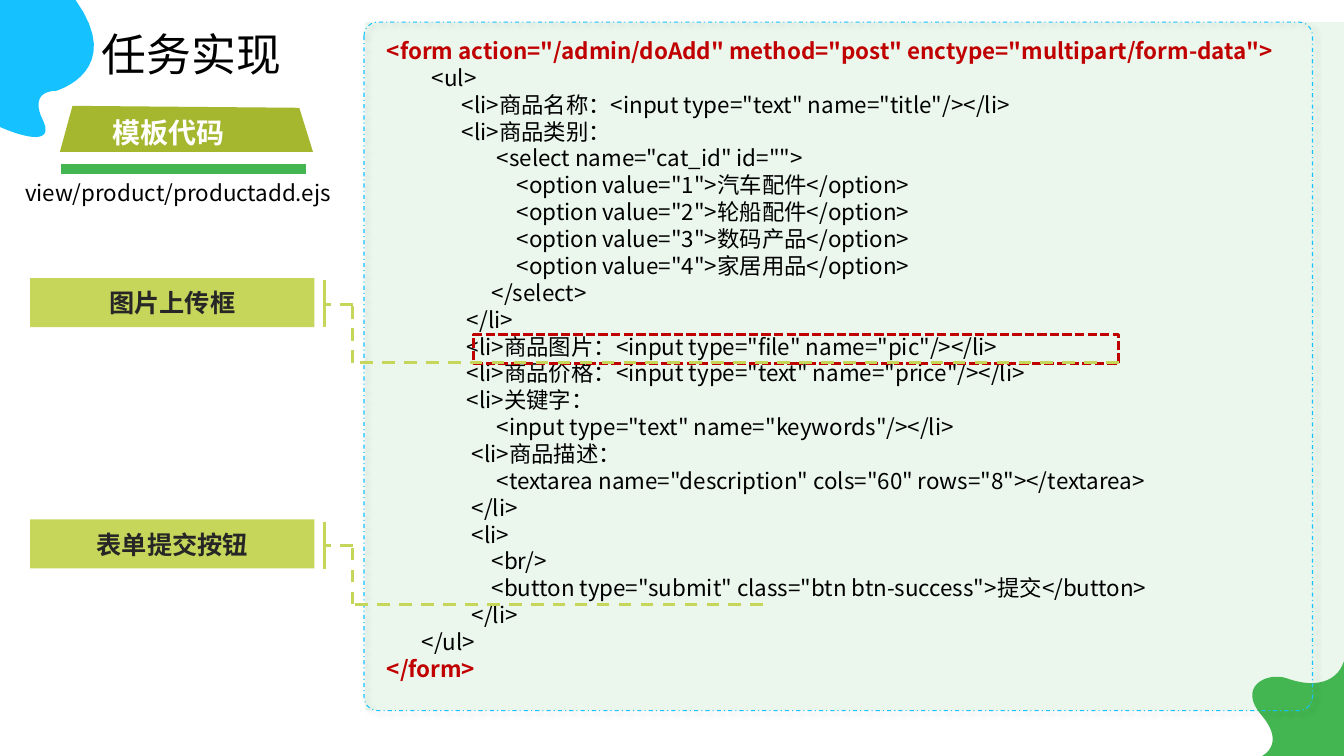
from dataclasses import dataclass
from lxml.etree import SubElement
from pptx import Presentation
from pptx.dml.color import RGBColor
from pptx.enum.dml import MSO_LINE_DASH_STYLE as Dash
from pptx.enum.shapes import MSO_CONNECTOR, MSO_SHAPE as Shape
from pptx.enum.text import MSO_ANCHOR as Anchor, MSO_AUTO_SIZE, PP_ALIGN as Align
from pptx.oxml.ns import qn
from pptx.util import Pt

# Content
TITLE = "任务实现"
SECTION = "模板代码"
FILE_NAME = "view/product/productadd.ejs"
# Code lines: leading spaces, text
CODE = [
    (0, '<form action="/admin/doAdd" method="post" enctype="multipart/form-data">'),
    (9, '<ul>'),
    (15, '<li>商品名称：<input type="text" name="title"/></li>'),
    (15, '<li>商品类别：'),
    (22, '<select name="cat_id" id="">'),
    (26, '<option value="1">汽车配件</option>'),
    (26, '<option value="2">轮船配件</option>'),
    (26, '<option value="3">数码产品</option>'),
    (26, '<option value="4">家居用品</option>'),
    (21, '</select>'),
    (16, '</li>'),
    (16, '<li>商品图片：<input type="file" name="pic"/></li>'),
    (16, '<li>商品价格：<input type="text" name="price"/></li>'),
    (16, '<li>关键字：'),
    (22, '<input type="text" name="keywords"/></li>'),
    (17, '<li>商品描述：'),
    (22, '<textarea name="description" cols="60" rows="8"></textarea>'),
    (17, '</li>'),
    (17, '<li>'),
    (21, '<br/>'),
    (21, '<button type="submit" class="btn btn-success">提交</button>'),
    (17, '</li>'),
    (7, '</ul>'),
    (0, '</form>'),
]
# Callouts: label, top, right end of the leader
CALLOUTS = [("图片上传框", 198.7, 799.2), ("表单提交按钮", 371, 545)]

# Outlines in points: a start, then lines (one point) or curves (three points)
BLUE_BLOB = [
    (0, 90.7),
    [(0, 90.7), (41, 109.4), (31, 86.4)],
    [(31, 86.4), (18.7, 65.5), (40.3, 64.8)],
    [(40.3, 64.8), (90, 50.4), (54, 0)],
    [(0, 0)],
]
GREEN_BLOB = [
    (901.4, 540),
    [(901.4, 540), (918.7, 532), (901.4, 511.2)],
    [(883.4, 491), (904.3, 479.5), (919.4, 484.6)],
    [(934.6, 490.3), (954, 490.3), (960, 472.3)],
    [(960, 540)],
]
BANNER = [(51.8, 75.6), [(213.8, 77)], [(223.6, 108.5)], [(42.8, 108.5)]]


@dataclass(frozen=True)
class Theme:
    font: str = "Noto Sans CJK SC"
    black: str = "000000"
    dark: str = "262626"
    white: str = "FFFFFF"
    red: str = "C00000"
    blue: str = "15C2FF"
    green: str = "43B651"
    olive: str = "A5B72E"
    lime: str = "C6D65B"
    title: int = 32
    section: int = 20
    label: int = 18
    body: int = 16
    code_spacing: float = 19.2


theme = Theme()


def set_line(line, color, width, dash=None):
    line.color.rgb = RGBColor.from_string(color)
    line.width = Pt(width)
    if dash:
        line.dash_style = dash


def style_shape(shape, fill=None, line=None):
    shape.shadow.inherit = False
    if fill:
        shape.fill.solid()
        shape.fill.fore_color.rgb = RGBColor.from_string(fill)
    else:
        shape.fill.background()
    if line:
        set_line(shape.line, *line)
    else:
        shape.line.fill.background()
    return shape


def add_box(kind, left, top, width, height, fill=None, line=None):
    shape = page.shapes.add_shape(kind, Pt(left), Pt(top), Pt(width), Pt(height))
    return style_shape(shape, fill, line)


def add_outline(outline, fill, steps=16):
    start, *segments = outline
    points, last = [], start
    for segment in segments:
        if len(segment) == 1:
            points += segment
        else:
            corners = [last, *segment]
            for step in range(1, steps + 1):
                t = step / steps
                weights = ((1 - t) ** 3, 3 * t * (1 - t) ** 2, 3 * t * t * (1 - t), t**3)
                points.append(tuple(
                    sum(w * corner[axis] for w, corner in zip(weights, corners))
                    for axis in (0, 1)))
        last = segment[-1]
    builder = page.shapes.build_freeform(Pt(start[0]), Pt(start[1]))
    builder.add_line_segments([(Pt(x), Pt(y)) for x, y in points], close=True)
    style_shape(builder.convert_to_shape(), fill)


def add_line(x1, y1, x2, y2, dash=None):
    line = page.shapes.add_connector(
        MSO_CONNECTOR.STRAIGHT, Pt(x1), Pt(y1), Pt(x2), Pt(y2))
    set_line(line.line, theme.lime, 2.25, dash)
    SubElement(line._element.spPr, qn("a:effectLst"))


def format_para(para, size, color, bold=False, align=Align.LEFT):
    para.alignment = align
    for span in para.runs:
        span.font.size = Pt(size)
        span.font.bold = bold
        span.font.color.rgb = RGBColor.from_string(color)
        span.font.name = theme.font
        SubElement(span._r.get_or_add_rPr(), qn("a:ea"), typeface=theme.font)


def add_text(left, top, width, height, text, size, color, bold=False, wrap=True):
    box = page.shapes.add_textbox(Pt(left), Pt(top), Pt(width), Pt(height))
    box.text_frame.word_wrap = wrap
    box.text_frame.text = text
    for para in box.text_frame.paragraphs:
        format_para(para, size, color, bold)
    return box


deck = Presentation()
deck.slide_width, deck.slide_height = Pt(960), Pt(540)
page = deck.slides.add_slide(deck.slide_layouts[5])

# Title
title = page.shapes.title
title.left, title.top, title.width, title.height = Pt(65.5), Pt(15.8), Pt(142.6), Pt(46)
frame = title.text_frame
frame.text = TITLE
frame.word_wrap = False
frame.auto_size = MSO_AUTO_SIZE.NONE
frame.vertical_anchor = Anchor.TOP
format_para(frame.paragraphs[0], theme.title, theme.black)

# Tinted panel and corner blobs
panel = add_box(Shape.RECTANGLE, 260.6, 15.8, 699.4, 491.8, theme.green)
tint = panel._element.spPr.find(qn("a:solidFill"))[0]
SubElement(tint, qn("a:alpha"), val="10000")
add_outline(BLUE_BLOB, theme.blue)
add_outline(GREEN_BLOB, theme.green)

# Code frame with a soft shadow
code_frame = add_box(Shape.ROUNDED_RECTANGLE, 260, 15.8, 677.5, 491.8,
                     line=(theme.blue, 0.75, Dash.DASH_DOT))
code_frame.adjustments[0] = 0.02
effects = code_frame._element.spPr.find(qn("a:effectLst"))
shadow = SubElement(effects, qn("a:outerShdw"), blurRad=str(Pt(4)), dist=str(Pt(3)),
                    dir="2700000", algn="tl", rotWithShape="0")
shade = SubElement(shadow, qn("a:srgbClr"), val=theme.black)
SubElement(shade, qn("a:alpha"), val="40000")

# Code listing, with the form tags in red
listing = "\n".join(" " * indent + text for indent, text in CODE)
code_box = add_text(269.3, 23, 694.8, 502.6, listing, theme.body, theme.black)
for para, (indent, text) in zip(code_box.text_frame.paragraphs, CODE):
    para.line_spacing = Pt(theme.code_spacing)
    if indent == 0:
        para.runs[0].font.bold = True
        para.runs[0].font.color.rgb = RGBColor.from_string(theme.red)

# Highlighted upload line
add_box(Shape.RECTANGLE, 338.4, 239, 460.8, 20.9,
        line=(theme.red, 2.25, Dash.SQUARE_DOT))

# Callouts with leaders
for text, top, end in CALLOUTS:
    label = add_box(Shape.RECTANGLE, 21.6, top, 203, 35, theme.lime)
    label.text_frame.text = text
    label.text_frame.vertical_anchor = Anchor.MIDDLE
    format_para(label.text_frame.paragraphs[0], theme.label, theme.dark, True, Align.CENTER)
    bar, bend, middle, bottom = 231.8, 252, top + 18.8, top + 60.5
    add_line(end, bottom, bend, bottom, Dash.DASH)
    add_line(bend, bottom, bend, middle, Dash.DASH)
    add_line(bend, middle, bar, middle, Dash.DASH)
    add_line(bar, top + 1.6, bar, top + 35.2)

# Section banner and file name
add_box(Shape.RECTANGLE, 43.9, 117.4, 174.5, 6.5, theme.green, (theme.green, 1))
add_outline(BANNER, theme.olive)
add_text(73.4, 79.2, 94.3, 31.7, SECTION, theme.section, theme.white, True, wrap=False)
add_text(10.8, 124.6, 252, 26.6, FILE_NAME, theme.body, theme.black)

deck.save("out.pptx")
